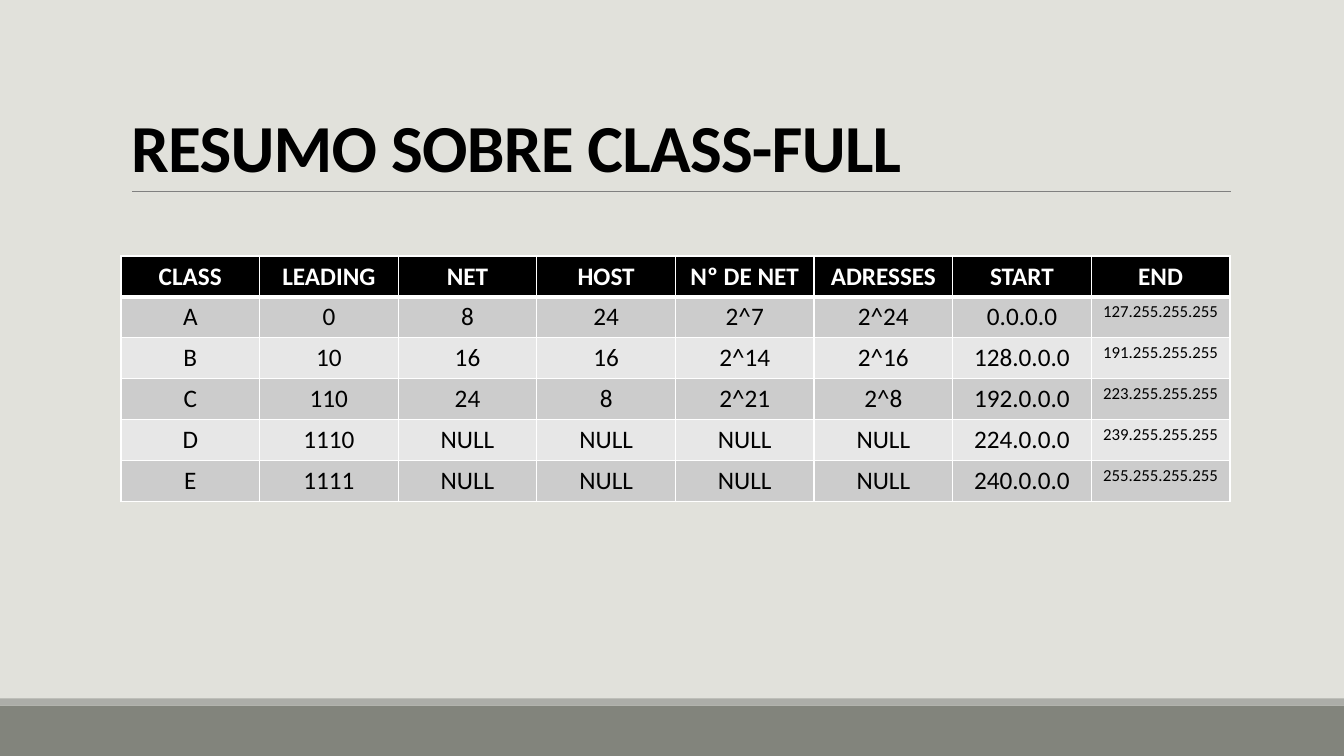
import pptx
import pptx.dml.color
import pptx.enum.shapes
import pptx.enum.text
import pptx.oxml
import pptx.oxml.ns
import pptx.util
import lxml.etree

Inches = pptx.util.Inches
Pt = pptx.util.Pt


def color(value):
    return pptx.dml.color.RGBColor.from_string(value)


def add_border(cell, side, width):
    cell._tc.get_or_add_tcPr().append(pptx.oxml.parse_xml(
        f'<a:ln{side} {pptx.oxml.ns.nsdecls("a")} w="{Pt(width)}">'
        f'<a:solidFill><a:srgbClr val="FFFFFF"/></a:solidFill></a:ln{side}>'))


presentation = pptx.Presentation()
presentation.slide_width = Inches(13.33)
presentation.slide_height = Inches(7.5)
slide = presentation.slides.add_slide(presentation.slide_layouts[5])
slide.background.fill.solid()
slide.background.fill.fore_color.rgb = color("E1E1DB")

for top, height, fill in [(7, 0.5, "82847C"), (6.93, 0.07, "ACADA8")]:
    band = slide.shapes.add_shape(
        pptx.enum.shapes.MSO_SHAPE.RECTANGLE,
        0, Inches(top), presentation.slide_width, Inches(height))
    band.shadow.inherit = False
    band.fill.solid()
    band.fill.fore_color.rgb = color(fill)
    band.line.fill.background()

rule = slide.shapes.add_connector(
    pptx.enum.shapes.MSO_CONNECTOR.STRAIGHT,
    Inches(1.31), Inches(1.9), Inches(12.21), Inches(1.9))
rule.line.color.rgb = color("808080")
rule.line.width = Pt(0.5)
lxml.etree.SubElement(rule._element.spPr, pptx.oxml.ns.qn("a:effectLst"))

title = slide.shapes.title
title.left, title.top = Inches(1.2), Inches(0.31)
title.width, title.height = Inches(11), Inches(1.59)
title.text_frame.text = "RESUMO SOBRE CLASS-FULL"
title.text_frame.auto_size = pptx.enum.text.MSO_AUTO_SIZE.NONE
title.text_frame.vertical_anchor = pptx.enum.text.MSO_ANCHOR.BOTTOM
paragraph = title.text_frame.paragraphs[0]
paragraph.alignment = pptx.enum.text.PP_ALIGN.LEFT
paragraph.line_spacing = 0.85
run = paragraph.runs[0]
run.font.name = "Calibri"
run.font.size = Pt(48)
run.font.bold = True
run.font.color.rgb = color("000000")
run._r.get_or_add_rPr().set("spc", "-50")

rows = [
    ["CLASS", "LEADING", "NET", "HOST", "Nº DE NET", "ADRESSES", "START", "END"],
    ["A", "0", "8", "24", "2^7", "2^24", "0.0.0.0", "127.255.255.255"],
    ["B", "10", "16", "16", "2^14", "2^16", "128.0.0.0", "191.255.255.255"],
    ["C", "110", "24", "8", "2^21", "2^8", "192.0.0.0", "223.255.255.255"],
    ["D", "1110"] + ["NULL"] * 4 + ["224.0.0.0", "239.255.255.255"],
    ["E", "1111"] + ["NULL"] * 4 + ["240.0.0.0", "255.255.255.255"],
]
table = slide.shapes.add_table(
    len(rows), len(rows[0]),
    Inches(1.2), Inches(2.54), Inches(11), Inches(2.43)).table

for row_index, row in enumerate(rows):
    header = row_index == 0
    fill = "000000" if header else "CCCCCC" if row_index % 2 else "E7E7E7"
    for column_index, text in enumerate(row):
        cell = table.cell(row_index, column_index)
        for side in "LRTB":
            header_rule = (row_index, side) in [(0, "B"), (1, "T")]
            add_border(cell, side, 3 if header_rule else 1)
        cell.fill.solid()
        cell.fill.fore_color.rgb = color(fill)
        cell.text_frame.text = text
        paragraph = cell.text_frame.paragraphs[0]
        paragraph.alignment = pptx.enum.text.PP_ALIGN.CENTER
        font = paragraph.runs[0].font
        font.name = "Calibri"
        end_address = column_index == len(row) - 1 and not header
        font.size = Pt(12 if end_address else 18)
        font.bold = header
        font.color.rgb = color("FFFFFF" if header else "000000")

presentation.save("out.pptx")
